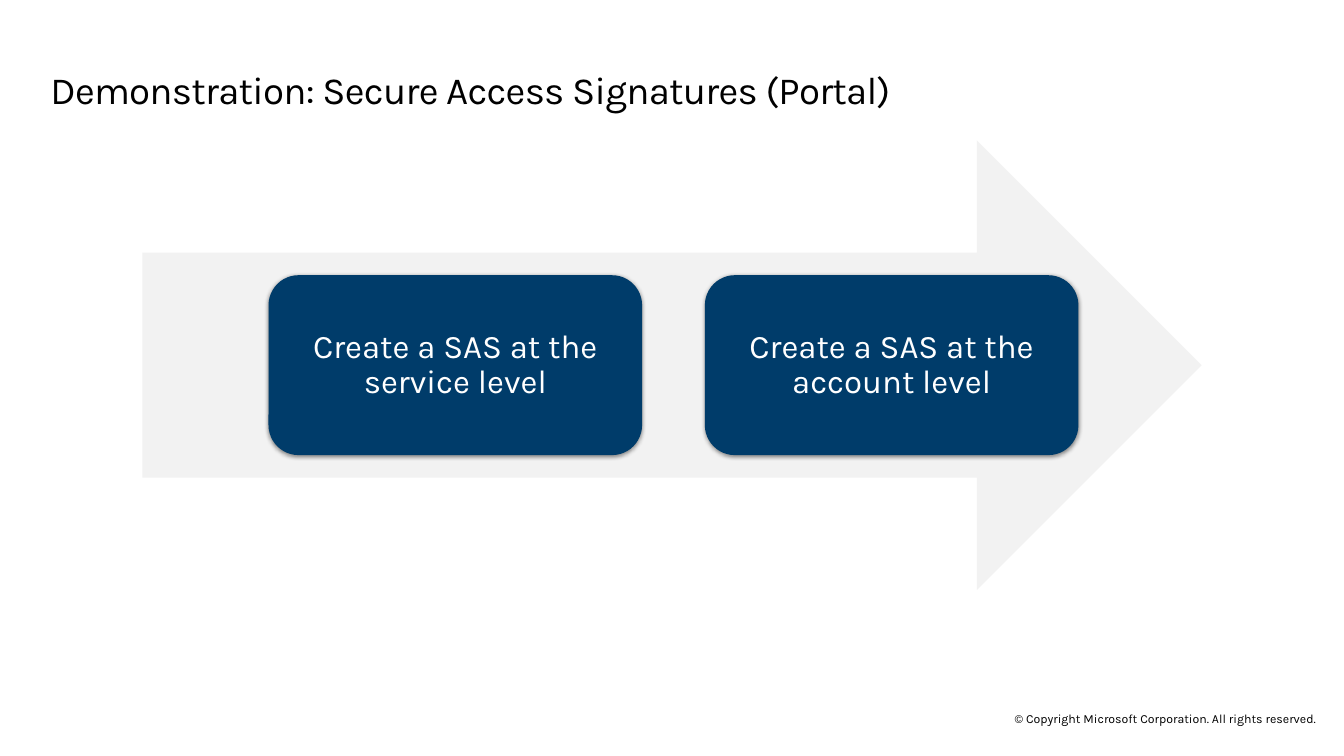
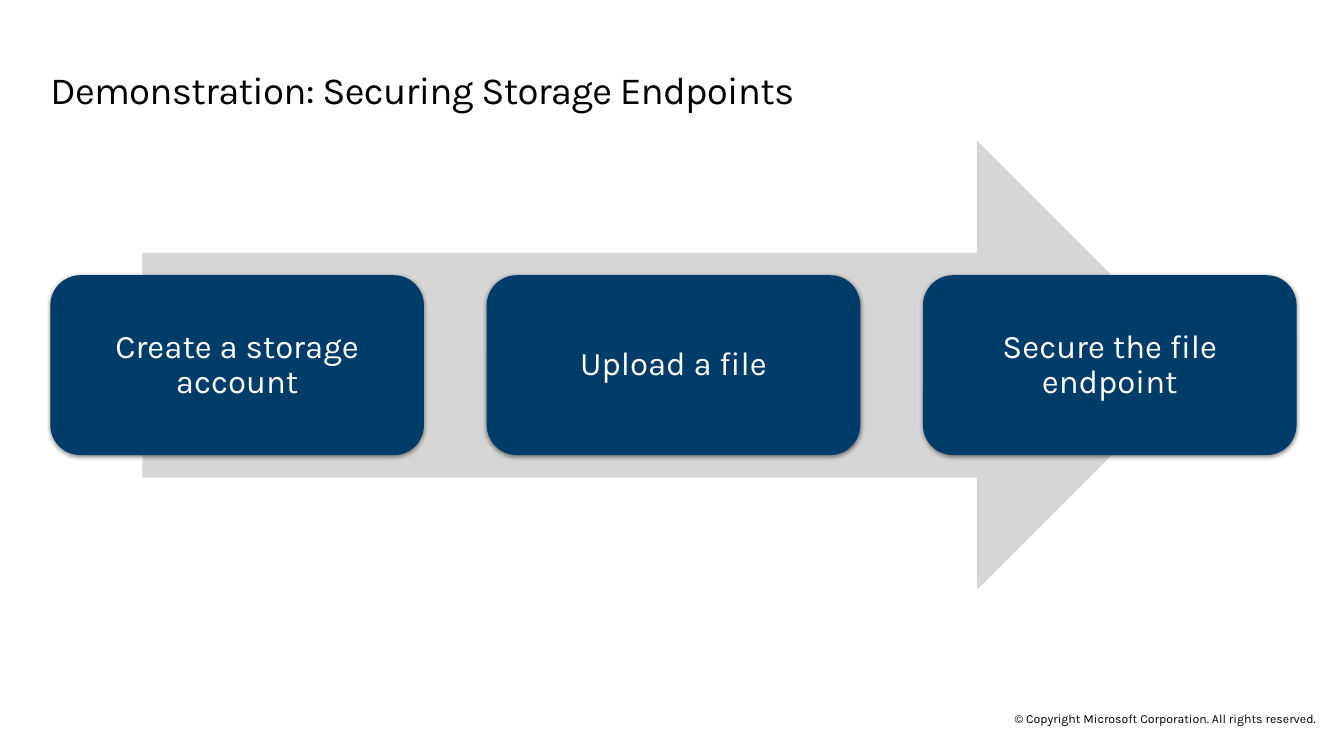
"""Build two demonstration slides, each with step cards on a wide arrow."""
from lxml import etree
from pptx import Presentation
from pptx.dml.color import RGBColor
from pptx.enum.shapes import MSO_SHAPE
from pptx.enum.text import MSO_ANCHOR, MSO_AUTO_SIZE, PP_ALIGN
from pptx.oxml import parse_xml
from pptx.util import Inches, Pt

ARROW, CARD = MSO_SHAPE.RIGHT_ARROW, MSO_SHAPE.ROUNDED_RECTANGLE
TOP, MIDDLE = MSO_ANCHOR.TOP, MSO_ANCHOR.MIDDLE
LEFT, CENTER = PP_ALIGN.LEFT, PP_ALIGN.CENTER
NO_FIT = MSO_AUTO_SIZE.NONE

FONT = "Karla"
BLACK, WHITE, NAVY = "000000", "FFFFFF", "003C6A"
COPYRIGHT = "© Copyright Microsoft Corporation. All rights reserved."
SHADOW = (
    '<a:effectLst xmlns:a="http://schemas.openxmlformats.org/drawingml/2006/main">'
    f'<a:outerShdw blurRad="{Pt(3.5)}" dist="{Pt(1.1)}" dir="5400000" rotWithShape="0">'
    f'<a:srgbClr val="{BLACK}"><a:alpha val="45000"/></a:srgbClr>'
    "</a:outerShdw></a:effectLst>"
)

WIDTH, HEIGHT = 13.6, 7.65
MARGIN, CONTENT_W = 0.51, 12.61
COLUMNS, CARD_W = 3, 3.78
PITCH = (CONTENT_W - CARD_W) / (COLUMNS - 1)
ARROW_W, ARROW_H, ARROW_TOP = 0.85 * CONTENT_W, 4.55, 1.42
CARD_H = 0.4 * ARROW_H
CARD_TOP = ARROW_TOP + (ARROW_H - CARD_H) / 2
FOOTER_W = 3.62

SLIDES = [
    ("Demonstration: Secure Access Signatures (Portal)", "F2F2F2",
     ["Create a SAS at the service level", "Create a SAS at the account level"]),
    ("Demonstration: Securing Storage Endpoints", "D6D6D7",
     ["Create a storage account", "Upload a file", "Secure the file endpoint"]),
]


def write(shape, text, size, color, align, anchor, inset, spacing):
    tf = shape.text_frame
    frame = {"word_wrap": True, "auto_size": NO_FIT, "vertical_anchor": anchor}
    frame.update({f"margin_{side}": Inches(inset) for side in ("left", "top", "right", "bottom")})
    for name, value in frame.items():
        setattr(tf, name, value)
    p = tf.paragraphs[0]
    p.alignment, p.line_spacing = align, spacing
    r = p.add_run()
    r.text = text
    r.font.name, r.font.size = FONT, Pt(size)
    r.font.color.rgb = RGBColor.from_string(color)
    return r


def block(s, kind, box, color):
    sp = s.shapes.add_shape(kind, *map(Inches, box))
    sp.shadow.inherit = False
    sp.fill.solid()
    sp.fill.fore_color.rgb = RGBColor.from_string(color)
    sp.line.fill.background()
    return sp


prs = Presentation()
prs.slide_width, prs.slide_height = Inches(WIDTH), Inches(HEIGHT)

for heading, arrow_color, steps in SLIDES:
    s = prs.slides.add_slide(prs.slide_layouts[5])

    footer = s.shapes.add_textbox(*map(Inches, (WIDTH - FOOTER_W, 7.2, FOOTER_W, 0.15)))
    write(footer, COPYRIGHT, 9, BLACK, CENTER, MIDDLE, 0, 1.0)

    title = s.shapes.title
    title.left, title.top, title.width, title.height = map(Inches, (MARGIN, 0.69, CONTENT_W, 0.45))
    r = write(title, heading, 28, BLACK, LEFT, TOP, 0, Pt(32))
    r.font._element.set("spc", "-50") if hasattr(r.font, "_element") else r._r.get_or_add_rPr().set("spc", "-50")

    block(s, ARROW, ((WIDTH - ARROW_W) / 2, ARROW_TOP, ARROW_W, ARROW_H), arrow_color)

    first = MARGIN + (COLUMNS - len(steps)) / 2 * PITCH
    for i, step in enumerate(steps):
        card = block(s, CARD, (first + i * PITCH, CARD_TOP, CARD_W, CARD_H), NAVY)
        spPr = card._element.spPr
        spPr.replace(spPr.find("{*}effectLst"), parse_xml(SHADOW))
        write(card, step, 24, WHITE, CENTER, MIDDLE, 0.1, 0.9)

prs.save("out.pptx")
